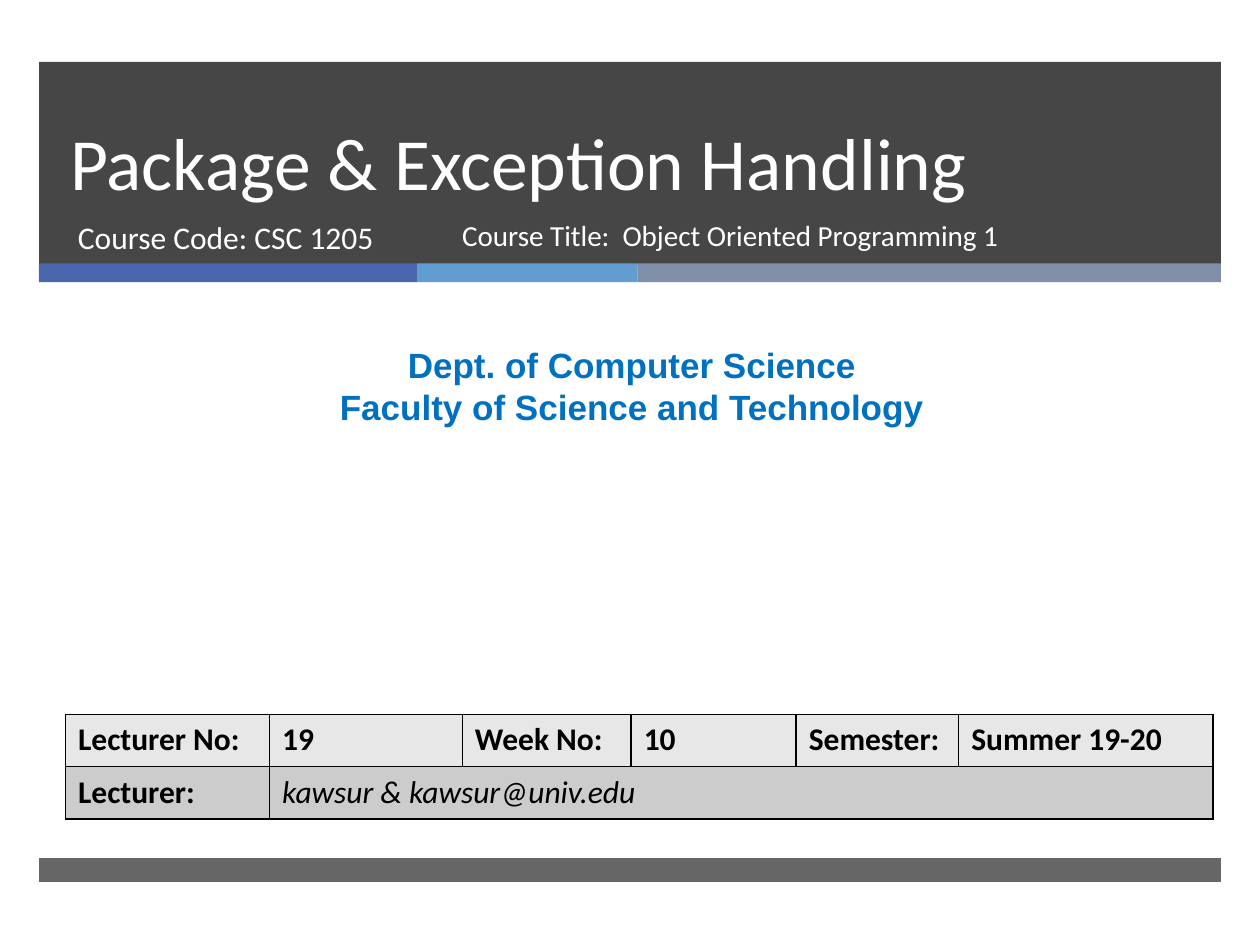
from lxml import etree
from pptx import Presentation
from pptx.dml.color import RGBColor
from pptx.enum.shapes import MSO_SHAPE
from pptx.enum.text import MSO_ANCHOR, PP_ALIGN
from pptx.oxml import parse_xml
from pptx.oxml.ns import nsdecls, qn
from pptx.util import Inches, Pt

RECT = MSO_SHAPE.RECTANGLE
TOP, BOTTOM = MSO_ANCHOR.TOP, MSO_ANCHOR.BOTTOM
LEFT, CENTER = PP_ALIGN.LEFT, PP_ALIGN.CENTER


def color(value):
    return RGBColor.from_string(value)


def write(para, text, size, font, hue, bold=False, italic=False):
    run = para.add_run()
    run.text = text
    run.font.size = Pt(size)
    run.font.name = font
    run.font.color.rgb = color(hue)
    run.font.bold = bold
    run.font.italic = italic


deck = Presentation()
deck.slide_width = Inches(10)
deck.slide_height = Inches(7.5)
slide = deck.slides.add_slide(deck.slide_layouts[6])

# Header band, three-colour stripe and footer band: box, fill, opacity in percent
bands = [
    (0.31, 0.49, 9.38, 1.61, "262626", 85),
    (0.31, 2.09, 3, 0.15, "4A66AC", 100),
    (3.31, 2.09, 1.75, 0.15, "629DD1", 100),
    (5.06, 2.09, 4.63, 0.15, "7F8FA9", 100),
    (0.31, 6.81, 9.38, 0.19, "262626", 70),
]
for *box, hue, alpha in bands:
    band = slide.shapes.add_shape(RECT, *map(Inches, box))
    band.shadow.inherit = False
    band.fill.solid()
    band.fill.fore_color.rgb = color(hue)
    band.line.fill.background()
    if alpha < 100:
        tone = band.fill._xPr.find(".//" + qn("a:srgbClr"))
        etree.SubElement(tone, qn("a:alpha"), val=str(alpha * 1000))

# Text boxes: box, lines, size, font, colour, bold, anchor, alignment, line pitch
texts = [
    ((0.46, 0.49, 8.54, 1.19), ["Package & Exception Handling"],
     42, "Calibri", "FFFFFF", False, BOTTOM, LEFT, Pt(46)),
    ((0.52, 1.68, 3.05, 0.53), ["Course Code: CSC 1205"],
     18, "Calibri", "FFFFFF", False, TOP, LEFT, None),
    ((0.08, 2.68, 9.87, 0.77),
     ["Dept. of Computer Science", "Faculty of Science and Technology"],
     20, "Arial", "0070C0", True, TOP, CENTER, None),
    ((3.57, 1.68, 4.61, 0.53), ["Course Title:  Object Oriented Programming 1"],
     16.6, "Calibri", "FFFFFF", False, TOP, LEFT, None),
]
for box, lines, size, font, hue, bold, anchor, align, pitch in texts:
    frame = slide.shapes.add_textbox(*map(Inches, box)).text_frame
    frame.word_wrap = True
    frame.vertical_anchor = anchor
    for i, line in enumerate(lines):
        para = frame.add_paragraph() if i else frame.paragraphs[0]
        para.alignment = align
        para.line_spacing = pitch
        write(para, line, size, font, hue, bold)

# Lecture details
widths = [1.62, 1.53, 1.34, 1.31, 1.29, 2.02]
rows = [
    ("E7E7E7", ["Lecturer No:", "19", "Week No:", "10", "Semester:", "Summer 19-20"]),
    ("CCCCCC", ["Lecturer:", "kawsur & kawsur@univ.edu", "", "", "", ""]),
]
table = slide.shapes.add_table(
    len(rows), len(widths), Inches(0.52), Inches(5.67), Inches(sum(widths)), Inches(0.83)
).table
for col, width in zip(table.columns, widths):
    col.width = Inches(width)
table.cell(1, 1).merge(table.cell(1, 5))

for r, (hue, words) in enumerate(rows):
    for c, word in enumerate(words):
        cell = table.cell(r, c)
        props = cell._tc.get_or_add_tcPr()
        for side in ("lnL", "lnR", "lnT", "lnB"):
            props.append(parse_xml(
                f'<a:{side} {nsdecls("a")} w="12700"><a:solidFill>'
                f'<a:srgbClr val="000000"/></a:solidFill></a:{side}>'))
        cell.fill.solid()
        cell.fill.fore_color.rgb = color(hue)
        if word:
            name = cell.is_merge_origin
            write(cell.text_frame.paragraphs[0], word, 18, "Calibri", "000000",
                  bold=not name, italic=name)

deck.save("out.pptx")
